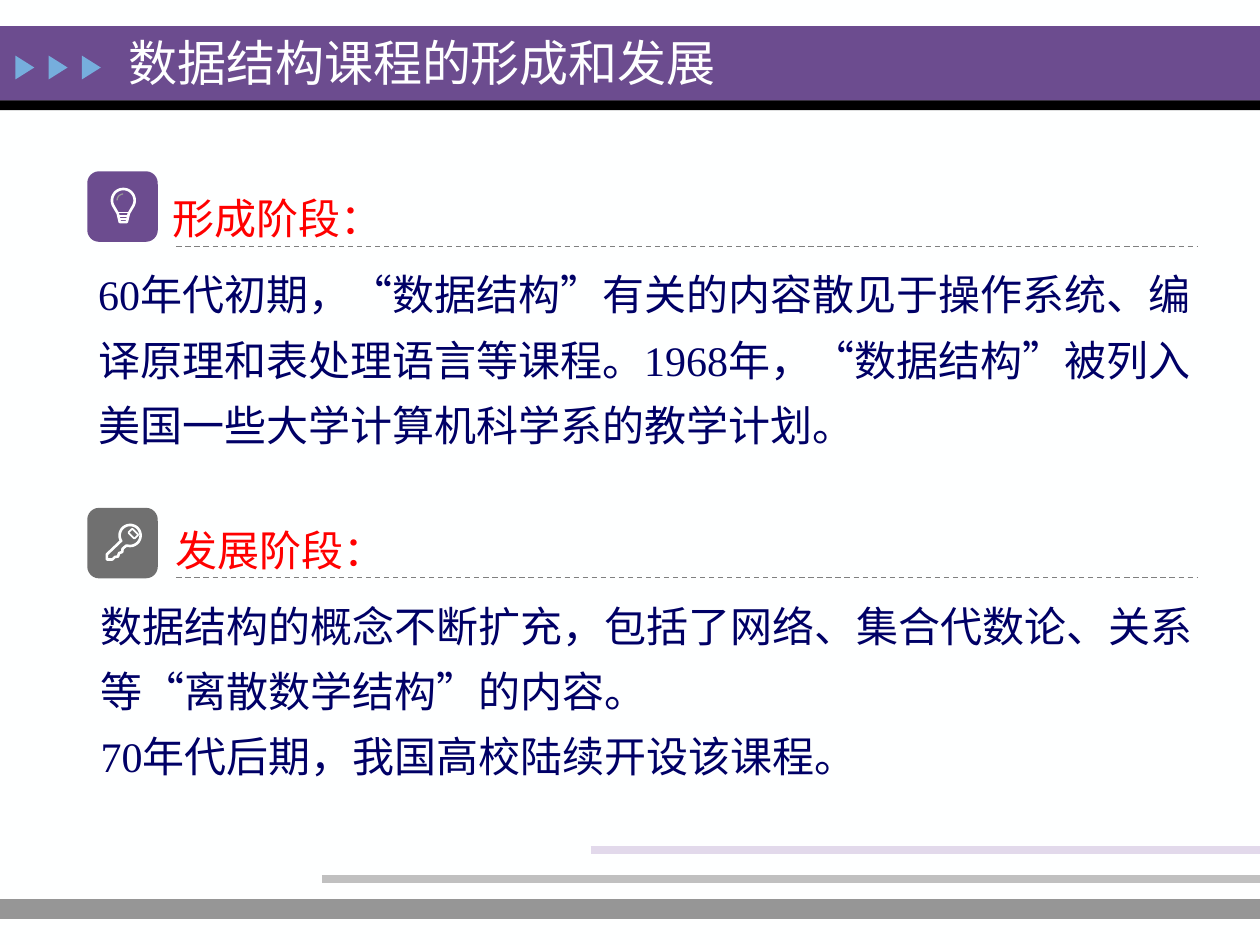
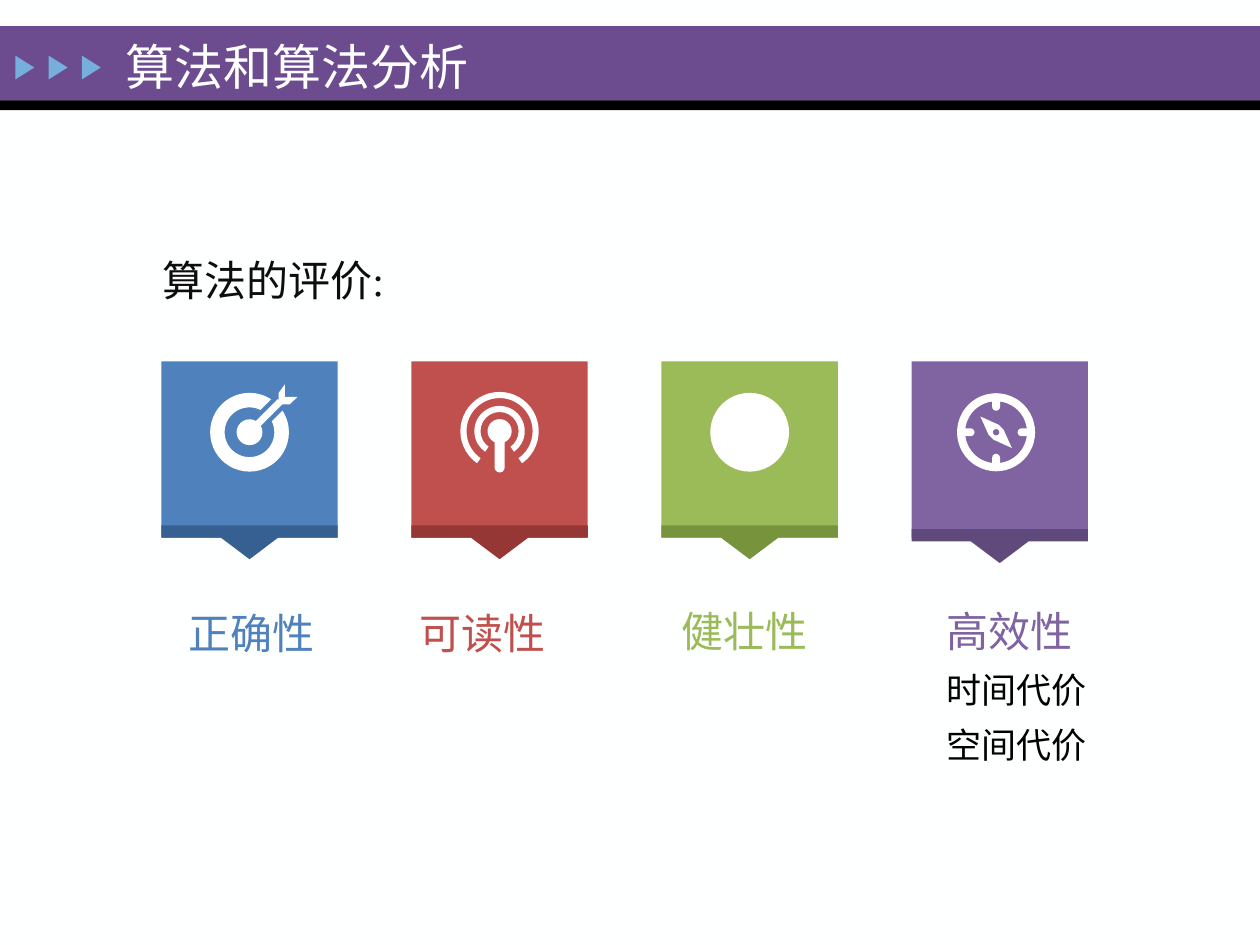
from math import cos, sin, radians
from lxml import etree
from pptx import Presentation
from pptx.dml.color import RGBColor
from pptx.enum.dml import MSO_LINE
from pptx.enum.lang import MSO_LANGUAGE_ID as LANG
from pptx.enum.shapes import MSO_CONNECTOR, MSO_SHAPE as SHAPE
from pptx.enum.text import MSO_ANCHOR as ANCHOR
from pptx.oxml.ns import qn
from pptx.util import Pt

FONT = "Times New Roman"
W, H = 720, 540
TILE, PITCH = 100.8, 142.9
COLORS = {
    "paper": "FEFFFF", "white": "FFFFFF", "black": "000000", "ink": "0D0D0D",
    "band": "6C4C8F", "arrow": "76AEDD", "red": "FF0000", "navy": "000066",
    "key": "707070", "dash": "808080", "gray": "969696", "silver": "C0C0C0",
    "lilac": "E2D9EB", "blue": "4F81BD", "blue_dark": "376092",
    "brick": "C0504D", "brick_dark": "953735", "green": "9BBB59",
    "green_dark": "77933C", "purple": "8064A2", "purple_dark": "604A7B",
}


def rgb(name):
    """Return the named colour."""
    return RGBColor.from_string(COLORS[name])


def paint(sp, fill=None, line=None, width=1.5):
    """Give a shape its fill and outline, without a shadow."""
    sp.shadow.inherit = False
    if fill:
        sp.fill.solid()
        sp.fill.fore_color.rgb = rgb(fill)
    else:
        sp.fill.background()
    if line:
        sp.line.color.rgb = rgb(line)
        sp.line.width = Pt(width)
    else:
        sp.line.fill.background()
    return sp


def shape(s, kind, x, y, w, h, fill=None, line=None):
    """Add a painted preset shape."""
    sp = s.shapes.add_shape(kind, Pt(x), Pt(y), Pt(w), Pt(h))
    return paint(sp, fill, line)


def disc(s, cx, cy, r, fill, kind=SHAPE.OVAL):
    """Add a round shape about a centre."""
    return shape(s, kind, cx - r, cy - r, 2 * r, 2 * r, fill)


def ring(s, cx, cy, r, thick):
    """Add a white ring about a centre."""
    disc(s, cx, cy, r, "white", SHAPE.DONUT).adjustments[0] = thick / (2 * r)


def outline(s, x, y, points, fill=None, line=None, width=1.5, close=True):
    """Add a freeform whose points are relative to x, y."""
    pts = [(Pt(x + px), Pt(y + py)) for px, py in points]
    fb = s.shapes.build_freeform(*pts[0])
    fb.add_line_segments(pts[1:], close=close)
    return paint(fb.convert_to_shape(), fill, line, width)


def arc(cx, cy, r, start, end, step=8):
    """Return points along a clockwise arc."""
    angles = [radians(a) for a in range(start, end + 1, step)]
    return [(cx + r * cos(a), cy + r * sin(a)) for a in angles]


def line(s, x1, y1, x2, y2, color, width, dash=None):
    """Add a straight line without a shadow."""
    c = s.shapes.add_connector(MSO_CONNECTOR.STRAIGHT, Pt(x1), Pt(y1), Pt(x2), Pt(y2))
    c.line.color.rgb = rgb(color)
    c.line.width = Pt(width)
    if dash:
        c.line.dash_style = dash
    etree.SubElement(c._element.spPr, qn("a:effectLst"))


def text(s, box, items, spacing=None, anchor=ANCHOR.TOP):
    """Add a text box of (text, size, colour, left margin) paragraphs."""
    tf = s.shapes.add_textbox(*map(Pt, box)).text_frame
    tf.word_wrap = True
    tf.vertical_anchor = anchor
    for i, (words, size, color, margin) in enumerate(items):
        p = tf.add_paragraph() if i else tf.paragraphs[0]
        p.text = words
        if spacing:
            p.line_spacing = spacing
        if margin:
            p._p.get_or_add_pPr().set("marL", str(Pt(margin)))
        f = p.runs[0].font
        f.name, f.size, f.color.rgb = FONT, Pt(size), rgb(color)
        f.language_id = LANG.SIMPLIFIED_CHINESE
    return tf


def new_slide(prs, title, box, anchor):
    """Add a slide with the title band, its arrows and its title."""
    s = prs.slides.add_slide(prs.slide_layouts[6])
    s.background.fill.solid()
    s.background.fill.fore_color.rgb = rgb("paper")
    shape(s, SHAPE.RECTANGLE, 0, 15, W, 42.5, "band")
    shape(s, SHAPE.RECTANGLE, 0, 57.3, W, 5.7, "black")
    for i in range(3):
        sp = shape(s, SHAPE.ISOSCELES_TRIANGLE, 7.4 + 19 * i, 33.2, 13.6, 10.8, "arrow")
        sp.rotation = 90
    text(s, box, [(title, 28, "paper", 0)], anchor=anchor)
    return s


def bulb_icon(s, x, y):
    """Draw a light bulb on its tile."""
    shape(s, SHAPE.ROUNDED_RECTANGLE, x, y, 40.3, 40.3, "band")
    glass = arc(20.6, 16.6, 6.5, 150, 390)
    outline(s, x, y, glass + [(23.8, 24), (22.6, 29), (18.6, 29), (17.4, 24)], line="paper")
    for i, half in enumerate((3.2, 2.8, 2.2)):
        level = y + 23.6 + 1.8 * i
        line(s, x + 20.6 - half, level, x + 20.6 + half, level, "paper", 1)
    outline(s, x, y, arc(20.6, 16.6, 3.6, 180, 270), line="gray", width=0.75, close=False)


def key_icon(s, x, y):
    """Draw a key on its tile."""
    shape(s, SHAPE.ROUNDED_RECTANGLE, x, y, 40.3, 40.3, "key")
    shaft = [(22.3, 21.6), (20.2, 23.4), (20, 25.2), (18.2, 25.9), (17.6, 27.8),
             (15.8, 28.1), (14.4, 29.5), (11.2, 29.5), (11.2, 26.6), (19.1, 19.1)]
    outline(s, x, y, arc(24.5, 15.8, 6, 148, 460) + shaft, line="paper")
    hole = shape(s, SHAPE.ROUNDED_RECTANGLE, x + 23.8, y + 13.2, 5, 3.2, line="paper")
    hole.line.width = Pt(1)
    hole.rotation = 45


def stage(s, box, heading, body, icon, icon_top):
    """Place one stage: heading, body text, icon and dashed rule."""
    x, y = box[:2]
    items = [(heading, 24, "red", 70)] + [(b, 24, "navy", 27.4) for b in body]
    tf = text(s, box, items, 1.3)
    tf.paragraphs[0].space_after = Pt(6)
    icon(s, 49.9, y + icon_top)
    line(s, 100.8, y + 42.8, 684.7, y + 42.8, "dash", 0.75, MSO_LINE.DASH)


def footer_lines(s):
    """Draw the three stepped lines at the foot."""
    for x, y, color, width in ((0, 519.6, "gray", 11.25), (184, 502.3, "silver", 4.5),
                               (337.5, 485.6, "lilac", 4.5)):
        line(s, x, y, W, y, color, width)


def target_icon(s, x, y, color):
    """Draw a target hit by an arrow."""
    cx, cy = x + 50.4, y + 40.4
    ring(s, cx, cy, 22.5, 8.3)
    disc(s, cx, cy, 7.4, "white")
    line(s, x + 57, y + 33.8, x + 70, y + 20.8, color, 9)
    line(s, cx, cy, x + 68, y + 22.8, "white", 4)
    outline(s, x, y, [(70.6, 13), (67, 18), (67, 22.3), (69.1, 24.5), (73.4, 24.5),
                      (77.8, 20.2), (70.6, 20.2)], "white")


def signal_icon(s, x, y, color):
    """Draw a mast sending waves."""
    cx, cy = x + 50.4, y + 39.8
    for r in (22.4, 14.4):
        sp = disc(s, cx, cy, r, "white", SHAPE.BLOCK_ARC)
        for i, value in enumerate((125 * 0.6, 55 * 0.6, 3.5 / (2 * r))):
            sp.adjustments[i] = value
    disc(s, cx, cy, 6.9, "white")
    mast = shape(s, SHAPE.ROUNDED_RECTANGLE, cx - 2.9, cy, 5.8, 23.6, "white")
    mast.adjustments[0] = 0.5


def plain_icon(s, x, y, color):
    """Draw a plain disc."""
    disc(s, x + 50.4, y + 40.4, 22.5, "white")


def compass_icon(s, x, y, color):
    """Draw a compass."""
    cx, cy, r = x + 48.3, y + 40.4, 22.3
    ring(s, cx, cy, r, 4.6)
    for dx, dy in ((0, -1), (1, 0), (0, 1), (-1, 0)):
        w, h = (10, 4.5) if dx else (4.5, 10)
        tick = shape(s, SHAPE.ROUNDED_RECTANGLE, cx + dx * (r - 5) - w / 2,
                     cy + dy * (r - 5) - h / 2, w, h, "white")
        tick.adjustments[0] = 0.5
    outline(s, cx, cy, [(-9, -9), (1.4, -4.3), (4.3, -1.4), (9, 9), (-1.4, 4.3),
                        (-4.3, 1.4)], "white")
    disc(s, cx, cy, 1.8, color)


def criterion(s, x, y, color, icon, edge_top, label_box, label, details=()):
    """Place one criterion: tile, pointed edge, icon and label."""
    shape(s, SHAPE.RECTANGLE, x, y, TILE, TILE, color)
    mid = TILE / 2
    outline(s, x, y + edge_top, [(0, 0), (TILE, 0), (TILE, 7), (mid + 16.5, 7),
                                 (mid, 19.4), (mid - 16.5, 7), (0, 7)], color + "_dark")
    icon(s, x, y, color)
    dx, dy, w, h = label_box
    items = [(label, 24, color, 0)] + [(d, 20, "black", 0) for d in details]
    text(s, (x + dx, y + dy, w, h), items, 1.3)


def history_slide(prs):
    """Build the slide on how the course developed."""
    s = new_slide(prs, "数据结构课程的形成和发展", (66.3, 15.8, 406, 39.6), ANCHOR.MIDDLE)
    stage(s, (21.6, 97.9, 676.8, 181.4), "形成阶段：",
          ["60年代初期，“数据结构”有关的内容散见于操作系统、编译原理和表处理语言等课程。"
           "1968年，“数据结构”被列入美国一些大学计算机科学系的教学计划。"], bulb_icon, 0)
    stage(s, (23, 287.3, 674.6, 153.4), "发展阶段：",
          ["数据结构的概念不断扩充，包括了网络、集合代数论、关系等“离散数学结构”的内容。",
           "70年代后期，我国高校陆续开设该课程。"], key_icon, 2.9)
    footer_lines(s)


def criteria_slide(prs):
    """Build the slide on judging algorithms."""
    s = new_slide(prs, "算法和算法分析", (64.8, 17.3, 618.5, 54), ANCHOR.TOP)
    text(s, (85.7, 138.2, 225.4, 43.2), [("算法的评价:", 24, "ink", 0)], anchor=ANCHOR.MIDDLE)
    criteria = [
        ("blue", target_icon, 93.6, (8.6, 128.2, 98, 52.6), "正确性"),
        ("brick", signal_icon, 93.6, (-2.2, 128.2, 103, 52.6), "可读性"),
        ("green", plain_icon, 93.6, (4.3, 127.4, 105, 53.3), "健壮性"),
        ("purple", compass_icon, 95.8, (13, 127.4, 123.8, 121), "高效性",
         ("时间代价", "空间代价")),
    ]
    for i, parts in enumerate(criteria):
        criterion(s, 92.2 + PITCH * i, 206.6, *parts)


def main():
    """Build and save the slides."""
    prs = Presentation()
    prs.slide_width, prs.slide_height = Pt(W), Pt(H)
    history_slide(prs)
    criteria_slide(prs)
    prs.save("out.pptx")


if __name__ == "__main__":
    main()
